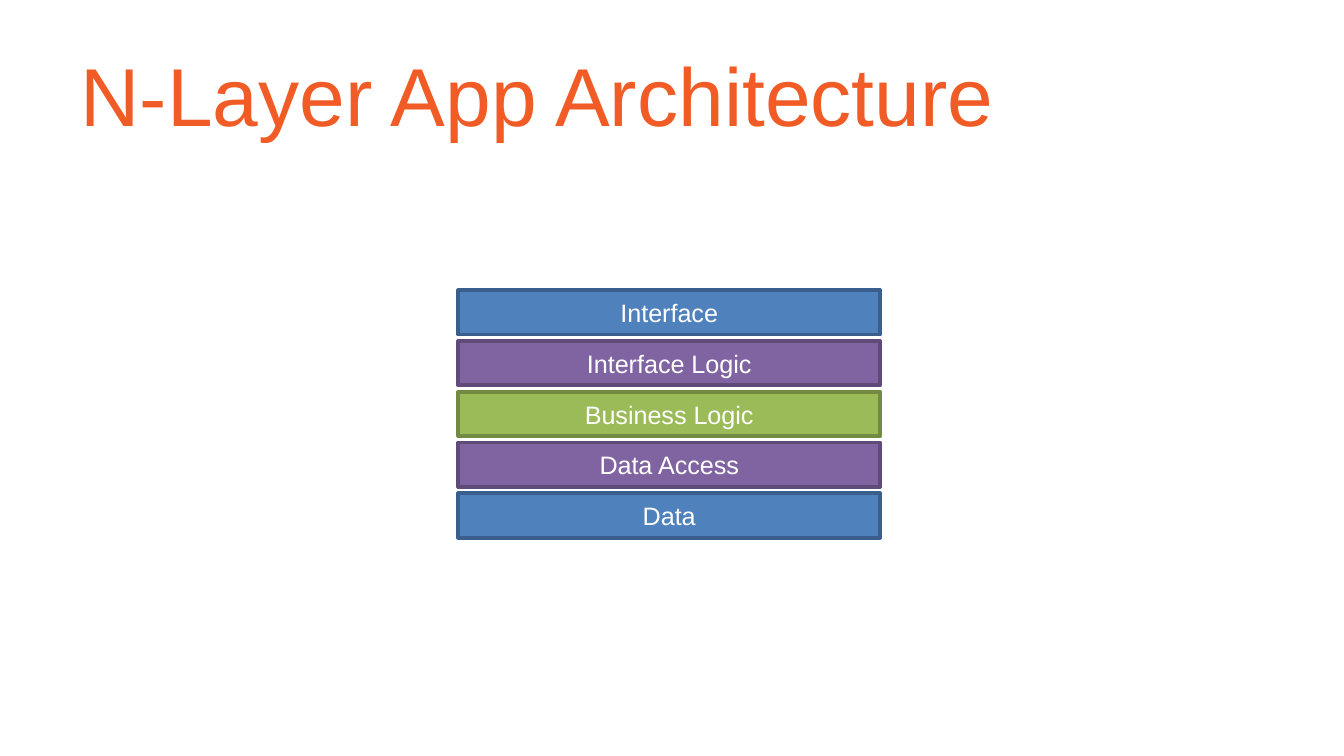
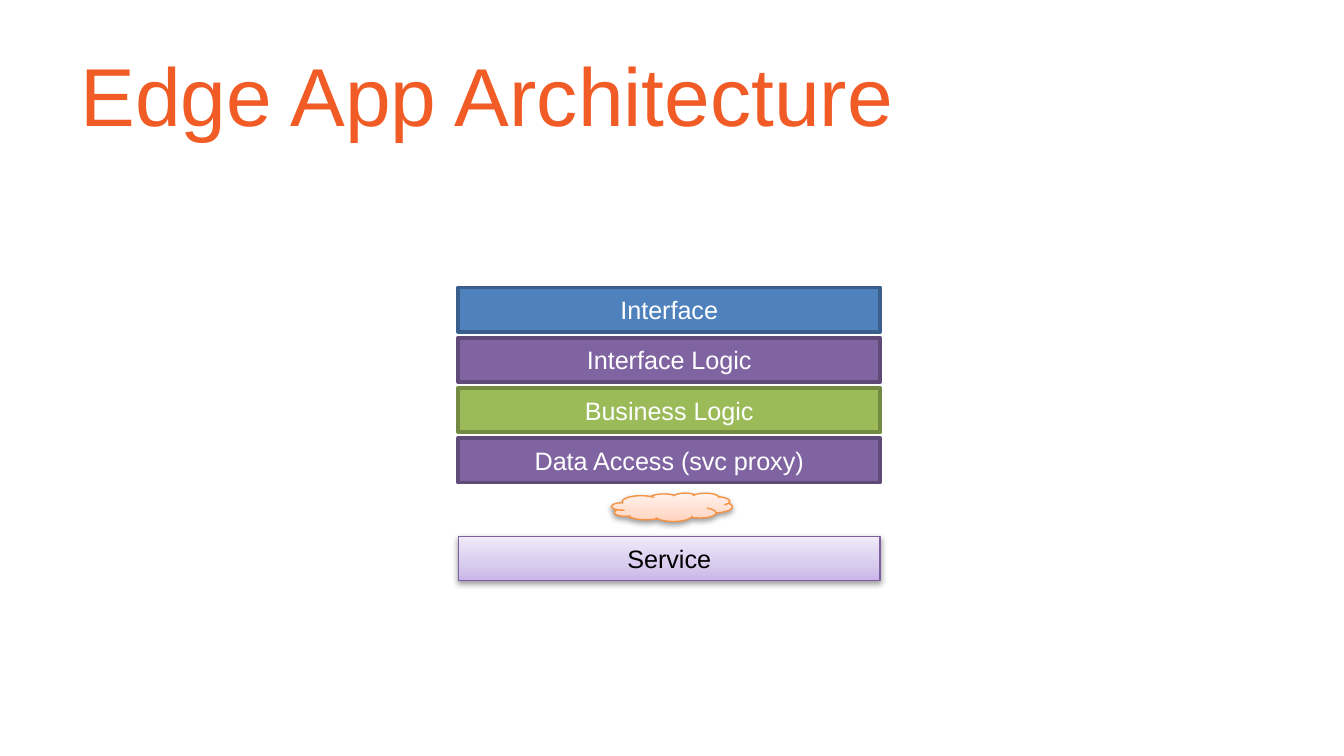
from copy import deepcopy
from lxml.etree import SubElement
from pptx import Presentation
from pptx.dml.color import RGBColor as RGB
from pptx.enum.shapes import MSO_SHAPE as Kind
from pptx.enum.text import MSO_ANCHOR as Anchor, PP_ALIGN as Align
from pptx.oxml.ns import qn
from pptx.util import Pt

# Content: layers from top to bottom, each with its tone
SLIDES = [
    {"title": "N-Layer App Architecture", "top": 155.5, "step": 27.2,
     "layers": [("Interface", "blue"), ("Interface Logic", "purple"),
                ("Business Logic", "green"), ("Data Access", "purple"),
                ("Data", "blue")]},
    {"title": "Edge App Architecture", "top": 154, "step": 26.9,
     "layers": [("Interface", "blue"), ("Interface Logic", "purple"),
                ("Business Logic", "green"),
                ("Data Access (svc proxy)", "purple")],
     "service": "Service"},
]

# Shared style
COLORS = {"title": "F15B26", "light": "FFFFFF", "dark": "000000",
          "blue": "4F81BD", "blue edge": "3A5F8C",
          "purple": "8064A2", "purple edge": "5F4A78",
          "green": "9BBB59", "green edge": "738A42",
          "cloud edge": "F69240", "service edge": "7D60A0"}
FADES = {"cloud": ["FFD2BD", "FFDED0", "FFF2ED"],
         "service": ["C9B5E8", "D8CBEE", "F0EAF9"]}
STOPS = [0, 0.35, 1]
FONT = "Arial"
LEFT, WIDTH, HEIGHT = 245.5, 226, 23.8
TITLE = {"left": 36, "top": 16.5, "width": 648, "height": 67.5}
CLOUD = (327.6, 264.2, 64.8, 15.2)
SERVICE = (LEFT, 287.3, WIDTH, HEIGHT)
INSETS = {"margin_left": 4.3, "margin_right": 4.3,
          "margin_top": 2.2, "margin_bottom": 2.2}


def set_pts(item, values):
    for name, value in values.items():
        setattr(item, name, Pt(value))


def write(frame, text, size, color, align):
    frame.text = text
    frame.vertical_anchor = Anchor.MIDDLE
    para = frame.paragraphs[0]
    para.alignment = align
    font = para.runs[0].font
    font.name, font.size = FONT, Pt(size)
    font.color.rgb = RGB.from_string(COLORS[color])


def add_part(slide, kind, box, edge, weight):
    part = slide.shapes.add_shape(kind, *map(Pt, box))
    part.shadow.inherit = False
    part.line.color.rgb = RGB.from_string(COLORS[edge])
    part.line.width = Pt(weight)
    return part


def label(part, text, color):
    frame = part.text_frame
    set_pts(frame, INSETS)
    frame.word_wrap = False
    write(frame, text, 13.5, color, Align.CENTER)


def add_fade(part, tones):
    # Gradient running from the bottom up
    part.fill.gradient()
    part.fill.gradient_angle = 90
    stops = part._element.xpath(".//a:gsLst")[0]
    stops.insert(1, deepcopy(stops[0]))
    for stop, spot, tone in zip(part.fill.gradient_stops, STOPS, tones):
        stop.position = spot
        stop.color.rgb = RGB.from_string(tone)
    # Soft shadow straight below
    effects = part._element.spPr.find(qn("a:effectLst"))
    shade = SubElement(effects, qn("a:outerShdw"), blurRad=str(Pt(3.1)),
                       dist=str(Pt(1.6)), dir="5400000", rotWithShape="0")
    tint = SubElement(shade, qn("a:srgbClr"), val=COLORS["dark"])
    SubElement(tint, qn("a:alpha"), val="38000")


def add_slide(deck, data):
    slide = deck.slides.add_slide(deck.slide_layouts[5])
    title = slide.shapes.title
    set_pts(title, TITLE)
    write(title.text_frame, data["title"], 44, "title", Align.LEFT)

    # Stack of layers
    for row, (text, tone) in enumerate(data["layers"]):
        box = (LEFT, data["top"] + row * data["step"], WIDTH, HEIGHT)
        part = add_part(slide, Kind.RECTANGLE, box, f"{tone} edge", 2)
        part.fill.solid()
        part.fill.fore_color.rgb = RGB.from_string(COLORS[tone])
        label(part, text, "light")

    # Service behind the cloud
    if "service" in data:
        cloud = add_part(slide, Kind.CLOUD, CLOUD, "cloud edge", 0.75)
        add_fade(cloud, FADES["cloud"])
        part = add_part(slide, Kind.RECTANGLE, SERVICE, "service edge", 0.75)
        add_fade(part, FADES["service"])
        label(part, data["service"], "dark")


def main():
    deck = Presentation()
    deck.slide_width, deck.slide_height = Pt(720), Pt(405)
    for data in SLIDES:
        add_slide(deck, data)
    deck.save("out.pptx")


if __name__ == "__main__":
    main()
